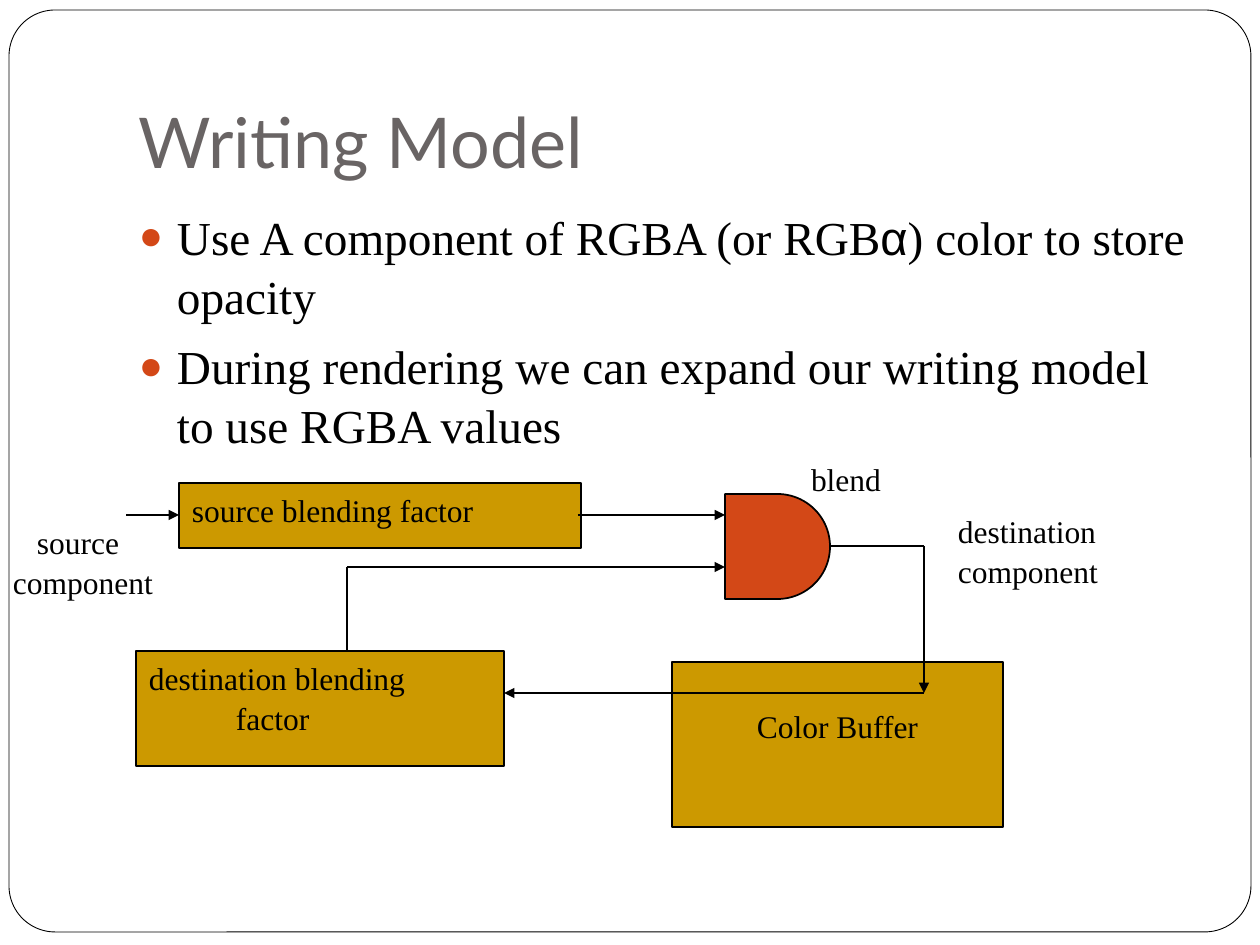
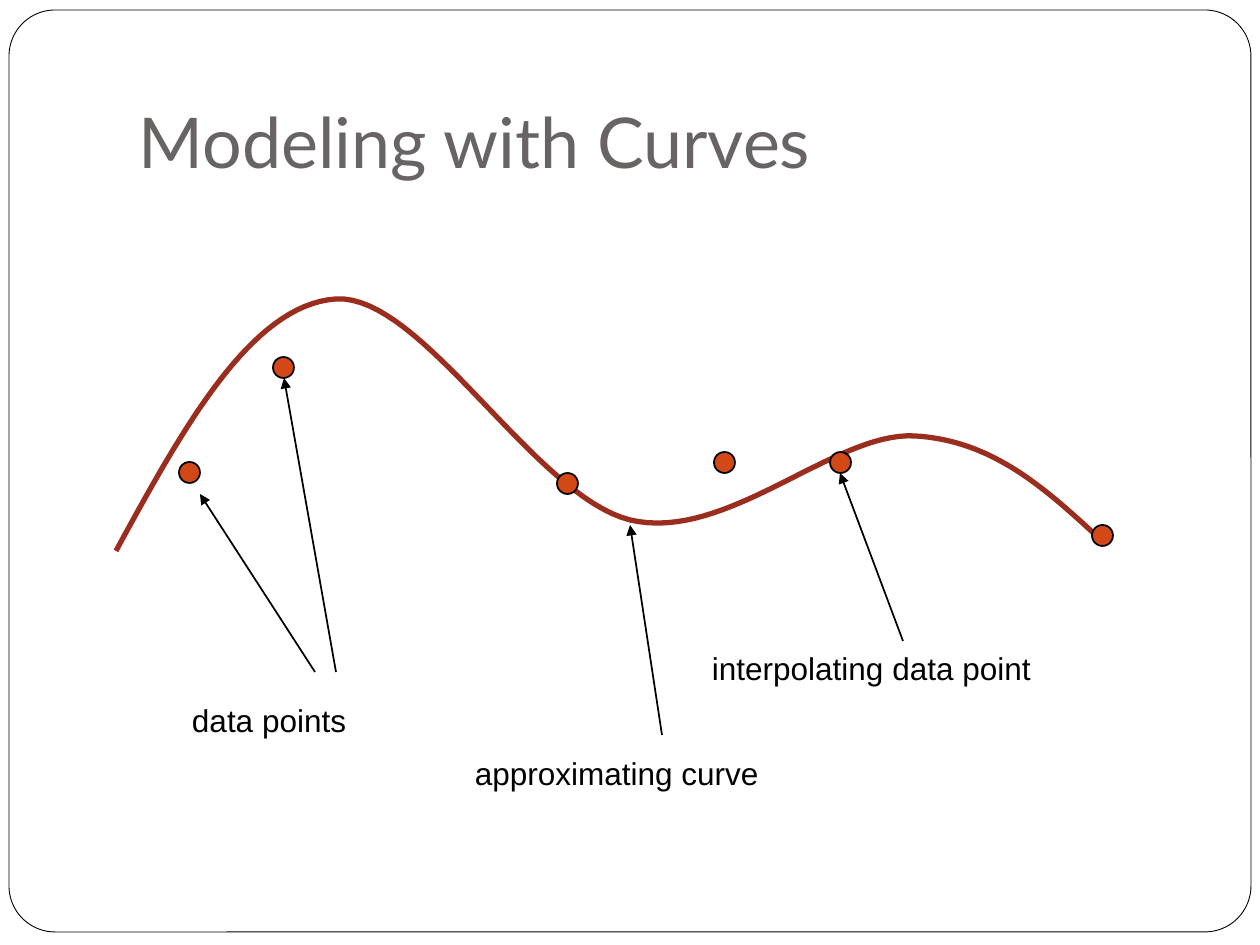
import dataclasses

import lxml.etree
import pptx
import pptx.dml.color
import pptx.enum.shapes
import pptx.enum.text
import pptx.oxml.ns
import pptx.util

EMU_PER_PX = 914400 / 126
SHAPES = pptx.enum.shapes.MSO_SHAPE
ALIGN = pptx.enum.text.PP_ALIGN
ANCHOR = pptx.enum.text.MSO_ANCHOR


@dataclasses.dataclass(frozen=True)
class Theme:
    """Colours, fonts and sizes shared by all slides."""
    ink: str = "000000"
    paper: str = "FFFFFF"
    heading: str = "696464"
    accent: str = "D34817"
    box: str = "CC9900"
    curve: str = "9B2D1F"
    title_font: str = "Lato"
    serif: str = "Times New Roman"
    sans: str = "Arial"
    title_size: int = 40
    body_size: int = 27
    label_size: int = 18
    line_spacing: float = 1.05
    outline: float = 1
    frame_outline: float = 0.5
    curve_outline: float = 3


THEME = Theme()


def px(length):
    """Turn pixels into EMU."""
    return pptx.util.Emu(round(length * EMU_PER_PX))


def color(value):
    """Turn a hex string into a colour."""
    return pptx.dml.color.RGBColor.from_string(value)


def add_xml(parent, tag, **attributes):
    """Append a DrawingML element to a parent element."""
    name = pptx.oxml.ns.qn(f"a:{tag}")
    return lxml.etree.SubElement(parent, name, attributes)


def style_run(run, font, size, ink=THEME.ink):
    """Set the font, size and colour of a run."""
    run.font.name = font
    run.font.size = pptx.util.Pt(size)
    run.font.color.rgb = color(ink)


def style_line(line, ink=THEME.ink, width=THEME.outline):
    """Set the colour and width of a line."""
    line.color.rgb = color(ink)
    line.width = pptx.util.Pt(width)


def set_margins(frame, top=6, bottom=6):
    """Give a text frame its insets."""
    frame.margin_left = frame.margin_right = px(13)
    frame.margin_top, frame.margin_bottom = px(top), px(bottom)


def write_label(shape, text, font, align=ALIGN.LEFT, indents=(), inset=6):
    """Write label lines from the top of a shape, with optional line indents."""
    frame = shape.text_frame
    frame.word_wrap = True
    frame.vertical_anchor = ANCHOR.TOP
    set_margins(frame, inset)
    frame.text = text
    for paragraph in frame.paragraphs:
        paragraph.alignment = align
        paragraph.line_spacing = THEME.line_spacing
        for run in paragraph.runs:
            style_run(run, font, THEME.label_size)
    for paragraph, indent in zip(frame.paragraphs, indents):
        paragraph._p.get_or_add_pPr().set("marL", str(px(indent)))


def add_shape(slide, kind, left, top, width, height, fill, outline=THEME.outline):
    """Add a filled and outlined preset shape."""
    shape = slide.shapes.add_shape(kind, px(left), px(top), px(width), px(height))
    shape.shadow.inherit = False
    shape.fill.solid()
    shape.fill.fore_color.rgb = color(fill)
    style_line(shape.line, width=outline)
    return shape


def add_box(slide, left, top, width, height, text, **options):
    """Add a labelled rectangle of the blending diagram."""
    shape = add_shape(slide, SHAPES.RECTANGLE, left, top, width, height, THEME.box)
    write_label(shape, text, THEME.serif, **options)


def add_label(slide, left, top, width, height, text, font, indents=()):
    """Add a free-standing label."""
    shape = slide.shapes.add_textbox(px(left), px(top), px(width), px(height))
    write_label(shape, text, font, indents=indents)


def add_line(slide, start, end, arrow=True):
    """Add a straight line, with an arrowhead at its end if wanted."""
    connector = slide.shapes.add_connector(
        pptx.enum.shapes.MSO_CONNECTOR.STRAIGHT, *map(px, start + end))
    style_line(connector.line)
    if arrow:
        add_xml(connector.line._get_or_add_ln(), "tailEnd", type="triangle")
    add_xml(connector._element.spPr, "effectLst")


def add_bullets(slide, left, top, width, height, items):
    """Add bulleted paragraphs, each a list of text and font pairs."""
    frame = slide.shapes.add_textbox(px(left), px(top), px(width), px(height)).text_frame
    frame.word_wrap = True
    set_margins(frame)
    for index, pieces in enumerate(items):
        paragraph = frame.add_paragraph() if index else frame.paragraphs[0]
        paragraph.line_spacing = THEME.line_spacing
        paragraph.space_before = pptx.util.Pt(5.8)
        properties = paragraph._p.get_or_add_pPr()
        properties.set("marL", str(px(38)))
        properties.set("indent", str(px(-38)))
        add_xml(add_xml(properties, "buClr"), "srgbClr", val=THEME.accent)
        add_xml(properties, "buSzPct", val="85000")
        add_xml(properties, "buFont", typeface=THEME.sans)
        add_xml(properties, "buChar", char="●")
        for text, font in pieces:
            run = paragraph.add_run()
            run.text = text
            style_run(run, font, THEME.body_size)


def bezier_points(start, control_1, control_2, end, steps=32):
    """Return the points of a cubic curve after its start, in EMU."""
    points = []
    for step in range(1, steps + 1):
        t = step / steps
        weights = ((1 - t) ** 3, 3 * t * (1 - t) ** 2, 3 * t * t * (1 - t), t ** 3)
        corners = (start, control_1, control_2, end)
        points.append(tuple(
            px(sum(weight * corner[axis] for weight, corner in zip(weights, corners)))
            for axis in (0, 1)))
    return points


def add_curve(slide, knots):
    """Add an open smooth curve through every third knot."""
    builder = slide.shapes.build_freeform(*map(px, knots[0]))
    for first in range(0, len(knots) - 1, 3):
        builder.add_line_segments(bezier_points(*knots[first:first + 4]), close=False)
    shape = builder.convert_to_shape()
    shape.shadow.inherit = False
    shape.fill.background()
    style_line(shape.line, THEME.curve, THEME.curve_outline)


def add_slide(presentation, title):
    """Add a slide with the rounded frame and a styled title."""
    slide = presentation.slides.add_slide(
        presentation.slide_layouts.get_by_name("Title Only"))
    frame = add_shape(slide, SHAPES.ROUNDED_RECTANGLE, 9, 10, 1242, 922,
                      THEME.paper, THEME.frame_outline)
    frame.adjustments[0] = 0.05
    slide.shapes._spTree.insert(2, frame._element)
    heading = slide.shapes.title
    heading.left, heading.top, heading.width, heading.height = map(px, (126, 38, 1071, 158))
    text_frame = heading.text_frame
    text_frame.text = title
    text_frame.auto_size = pptx.enum.text.MSO_AUTO_SIZE.NONE
    text_frame.vertical_anchor = ANCHOR.BOTTOM
    set_margins(text_frame, bottom=13)
    paragraph = text_frame.paragraphs[0]
    paragraph.alignment = ALIGN.LEFT
    style_run(paragraph.runs[0], THEME.title_font, THEME.title_size, THEME.heading)
    return slide


def build_writing_model(presentation):
    """Build the slide on blending source and destination."""
    slide = add_slide(presentation, "Writing Model")
    add_bullets(slide, 126, 199, 1073, 630, [
        [("Use A component of RGBA (or RGB", THEME.serif), ("α", THEME.sans),
         (") color to store opacity", THEME.serif)],
        [("During rendering we can expand our writing model to use RGBA values",
          THEME.serif)],
    ])
    add_shape(slide, SHAPES.FLOWCHART_DELAY, 725, 494, 105, 105, THEME.accent)
    add_box(slide, 672, 662, 331, 165, "Color Buffer", align=ALIGN.CENTER, inset=43)
    add_box(slide, 136, 651, 368, 115, "destination blending\nfactor", indents=(0, 87))
    add_box(slide, 179, 483, 402, 65, "source blending factor")
    for start, end, arrow in [
        ((830, 546), (924, 546), False),
        ((924, 546), (924, 693), True),
        ((924, 693), (504, 693), True),
        ((347, 651), (347, 567), False),
        ((347, 567), (725, 567), True),
        ((578, 515), (725, 515), True),
        ((126, 515), (179, 515), True),
    ]:
        add_line(slide, start, end, arrow)
    add_label(slide, 945, 504, 212, 113, "destination\ncomponent", THEME.serif)
    add_label(slide, 798, 452, 118, 63, "blend", THEME.serif)
    add_label(slide, 0, 515, 212, 113, "source\ncomponent", THEME.serif, indents=(24, 0))


def build_curves(presentation):
    """Build the slide on data points and an approximating curve."""
    slide = add_slide(presentation, "Modeling with Curves")
    add_curve(slide, [
        (116, 551), (183, 428), (251, 305), (336, 299), (422, 294), (534, 496),
        (630, 520), (726, 543), (834, 432), (914, 436), (993, 440), (1047, 490),
        (1102, 541),
    ])
    diameter = 21
    for left, top in [(179, 462), (273, 357), (557, 473), (714, 452), (1092, 525),
                      (830, 452)]:
        add_shape(slide, SHAPES.OVAL, left, top, diameter, diameter, THEME.accent)
    for start, end in [
        ((315, 672), (200, 494)),
        ((336, 672), (284, 378)),
        ((662, 735), (630, 525)),
        ((903, 641), (840, 473)),
    ]:
        add_line(slide, start, end)
    for left, top, width, text in [
        (179, 693, 231, "data points"),
        (462, 746, 404, "approximating curve"),
        (699, 641, 451, "interpolating data point"),
    ]:
        add_label(slide, left, top, width, 63, text, THEME.sans)


def main():
    """Build and save the presentation."""
    presentation = pptx.Presentation()
    presentation.slide_width, presentation.slide_height = px(1260), px(945)
    build_writing_model(presentation)
    build_curves(presentation)
    presentation.save("out.pptx")


if __name__ == "__main__":
    main()
